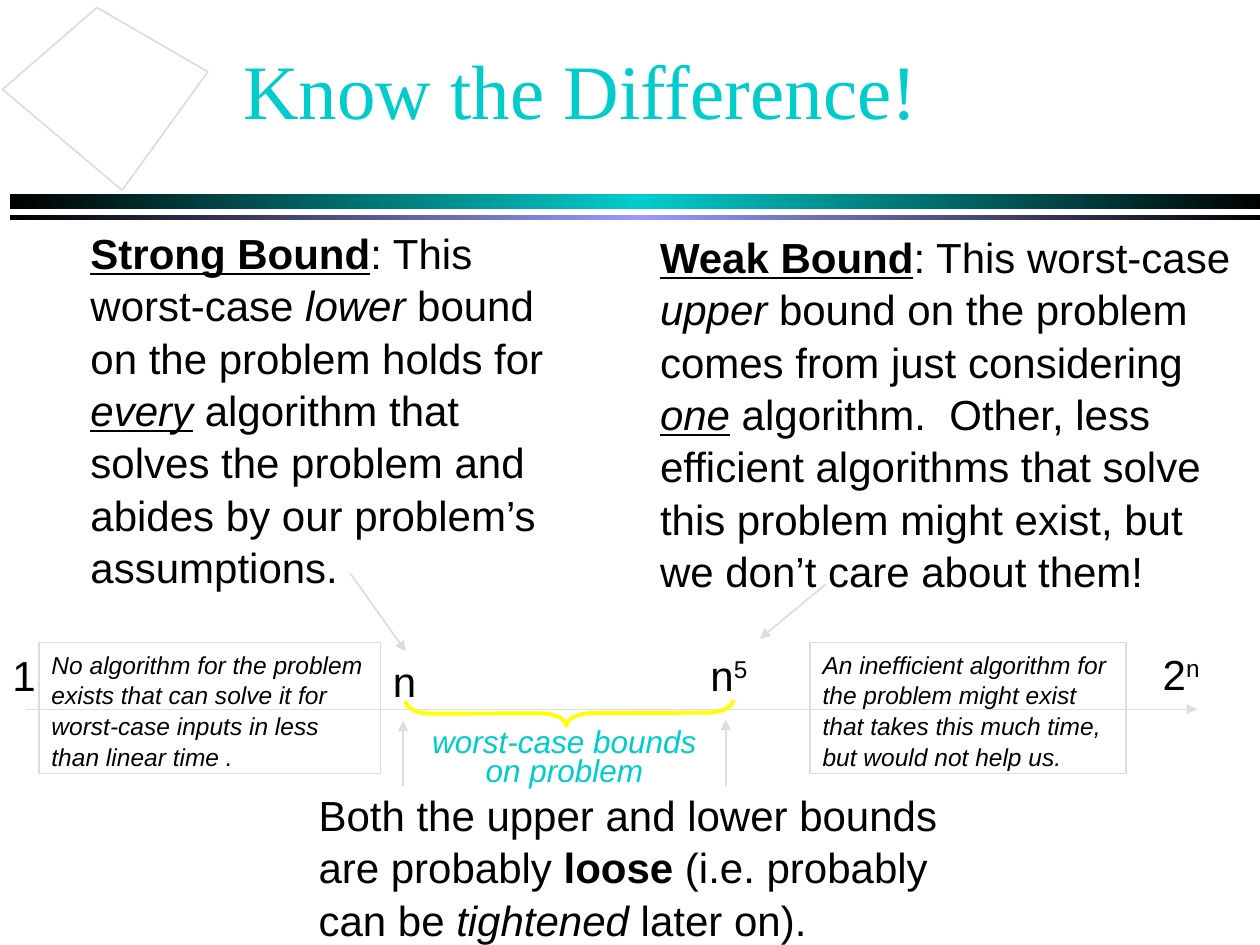
from copy import deepcopy
from lxml import etree
from pptx import Presentation
from pptx.dml.color import RGBColor
from pptx.enum.shapes import MSO_CONNECTOR, MSO_SHAPE
from pptx.enum.text import MSO_ANCHOR, MSO_AUTO_SIZE, PP_ALIGN
from pptx.oxml.ns import qn
from pptx.util import Inches, Pt

BLACK = RGBColor(0x00, 0x00, 0x00)
WHITE = RGBColor(0xFF, 0xFF, 0xFF)
TEAL = RGBColor(0x00, 0xCC, 0xCC)
LILAC = RGBColor(0x99, 0x99, 0xFF)
GREY = RGBColor(0xDD, 0xDD, 0xDD)
YELLOW = RGBColor(0xFF, 0xFF, 0x00)
RECT, BRACE = MSO_SHAPE.RECTANGLE, MSO_SHAPE.LEFT_BRACE
STRAIGHT = MSO_CONNECTOR.STRAIGHT
LEFT, CENTER = PP_ALIGN.LEFT, PP_ALIGN.CENTER
TOP, MIDDLE = MSO_ANCHOR.TOP, MSO_ANCHOR.MIDDLE
NO_FIT = MSO_AUTO_SIZE.NONE

# The slide is a grid of 100 columns and 75 rows of equal size
WIDE, HIGH = Inches(10), Inches(7.5)
UNIT = WIDE // 100


def grid(*cells):
    return [round(c * UNIT) for c in cells]


def inside(box, x, y, w, h):
    """Box in slide cells from one that is relative to its region."""
    return box[0] + x, box[1] + y, w, h


def write(shape, paras, size=24, color=BLACK, face="Arial", align=LEFT,
          anchor=TOP, wrap=True, lead=1.04):
    """Fill a shape; a paragraph is a list of (text, marks from b, i, u, ^)."""
    frame = shape.text_frame
    frame.auto_size, frame.word_wrap = NO_FIT, wrap
    frame.vertical_anchor = anchor
    for k, runs in enumerate(paras):
        para = frame.add_paragraph() if k else frame.paragraphs[0]
        para.alignment, para.line_spacing = align, lead
        para.space_before = Pt(0)
        for text, marks in runs:
            run = para.add_run()
            run.text = text
            font = run.font
            font.size, font.name = Pt(size), face
            font.color.rgb = color
            font.bold, font.italic = "b" in marks, "i" in marks
            font.underline = "u" in marks
            if "^" in marks:
                run._r.get_or_add_rPr().set("baseline", "30000")


def label(slide, box, paras, **form):
    write(slide.shapes.add_textbox(*grid(*box)), paras, **form)


def arrow(slide, x1, y1, x2, y2):
    line = slide.shapes.add_connector(STRAIGHT, *grid(x1, y1, x2, y2))
    line.line.color.rgb, line.line.width = GREY, Pt(1)
    etree.SubElement(line.line._get_or_add_ln(), qn("a:tailEnd"), type="triangle")
    etree.SubElement(line._element.spPr, qn("a:effectLst"))


def band(slide, box, mid):
    """Bar that fades from black to a colour and back."""
    bar = slide.shapes.add_shape(RECT, *grid(*box))
    bar.shadow.inherit = False
    bar.line.fill.background()
    bar.fill.gradient()
    bar.fill.gradient_angle = 0
    stops = bar.fill._fill._gradFill.gsLst
    stops.append(deepcopy(stops[0]))
    for stop, spot, color in zip(bar.fill.gradient_stops, (0, 0.5, 1),
                                 (BLACK, mid, BLACK)):
        stop.position, stop.color.rgb = spot, color


def header(slide, box):
    # Tilted outline in the corner
    points = [grid(box[0] + x, box[1] + y)
              for x, y in ((9.7, 15.1), (0.2, 7.1), (7.7, 0.6), (16.5, 5.7))]
    path = slide.shapes.build_freeform(*points[0])
    path.add_line_segments(points[1:], close=True)
    quad = path.convert_to_shape()
    quad.shadow.inherit = False
    quad.fill.solid()
    quad.fill.fore_color.rgb = WHITE
    quad.line.color.rgb, quad.line.width = GREY, Pt(1)

    # Bars below the title
    band(slide, inside(box, 0.8, 15.4, 99.9, 1.2), TEAL)
    band(slide, inside(box, 0.8, 17.1, 99.9, 0.4), LILAC)

    # Title with a text shadow
    title = slide.shapes.title
    title.left, title.top, title.width, title.height = grid(
        *inside(box, 18.3, 0.8, 85, 12.5))
    write(title, [[("Know the Difference!", "")]], size=44, color=TEAL,
          face="Times New Roman", anchor=MIDDLE, lead=1.0)
    props = title.text_frame.paragraphs[0].runs[0]._r.get_or_add_rPr()
    glow = etree.Element(qn("a:effectLst"))
    cast = etree.SubElement(glow, qn("a:outerShdw"), dist="28575", dir="2700000")
    etree.SubElement(cast, qn("a:srgbClr"), val=str(BLACK))
    props.find(qn("a:solidFill")).addnext(glow)


def bounds(slide, box):
    # Strong bound on the left, weak bound on the right
    label(slide, inside(box, 6.2, 0, 38, 35.1), [[
        ("Strong Bound", "bu"), (": This worst-case ", ""), ("lower", "i"),
        (" bound on the problem holds for ", ""), ("every", "iu"),
        (" algorithm that solves the problem and abides by our problem’s "
         "assumptions.", "")]])
    label(slide, inside(box, 51.4, 0.3, 48.6, 35.1), [[
        ("Weak Bound", "bu"), (": This worst-case ", ""), ("upper", "i"),
        (" bound on the problem comes from just considering ", ""),
        ("one", "iu"),
        (" algorithm.  Other, less efficient algorithms that solve this "
         "problem might exist, but we don’t care about them!", "")]])


def note(slide, box, text):
    frame = slide.shapes.add_shape(RECT, *grid(*box))
    frame.shadow.inherit = False
    frame.fill.background()
    frame.line.color.rgb, frame.line.width = GREY, Pt(1)
    write(frame, [[(text, "i")]], size=14)


def scale(slide, box):
    left, top = box[:2]
    # Axis with its marks
    arrow(slide, left + 2.1, top + 5.5, left + 95, top + 5.5)
    for x, y, w, runs in ((30.2, 0.6, 5.7, [("n", "")]),
                          (0, 0.1, 5.7, [("1", "")]),
                          (91.3, 0, 7.6, [("2", ""), ("n", "^")]),
                          (55.4, 0.1, 6.9, [("n", ""), ("5", "^")])):
        label(slide, inside(box, x, y, w, 5), [runs])

    # Brace over the range of bounds
    label(slide, inside(box, 33.3, 6.6, 23, 5.5),
          [[("worst-case bounds", "i")], [("on problem", "i")]],
          size=18, color=TEAL, align=CENTER, wrap=False, lead=0.78)
    brace = slide.shapes.add_shape(
        BRACE, *grid(*inside(box, 44.2, -7.2, 2, 26)))
    brace.shadow.inherit = False
    brace.rotation = 269.8
    brace.adjustments[0], brace.adjustments[1] = 1.05, 0.49
    brace.fill.background()
    brace.line.color.rgb, brace.line.width = YELLOW, Pt(2.25)

    # Notes on both outer ranges
    note(slide, inside(box, 64.3, 0.2, 25.1, 10.4),
         "An inefficient algorithm for the problem might exist that takes "
         "this much time, but would not help us.")
    note(slide, inside(box, 3.1, 0.2, 27.1, 10.4),
         "No algorithm for the problem exists that can solve it for "
         "worst-case inputs in less than linear time .")

    # Pointers from the texts above and below
    for x1, y1, x2, y2 in ((27.8, -5.3, 32.2, 0.9), (65.5, -4.4, 60.3, -0.1),
                           (32, 11.6, 32, 6.4), (57.6, 11.6, 57.6, 6.3)):
        arrow(slide, left + x1, top + y1, left + x2, top + y2)


def footer(slide, box):
    label(slide, box, [[
        ("Both the upper and lower bounds are probably ", ""), ("loose", "b"),
        (" (i.e. probably can be ", ""), ("tightened", "i"),
        (" later on).", "")]])


def main():
    deck = Presentation()
    deck.slide_width, deck.slide_height = WIDE, HIGH
    slide = deck.slides.add_slide(deck.slide_layouts[5])
    header(slide, (0, 0, 100, 17.5))
    scale(slide, (0, 50.8, 100, 11.6))
    bounds(slide, (0, 17.4, 100, 35.4))
    footer(slide, (24.3, 62, 54.4, 13))
    deck.save("out.pptx")


if __name__ == "__main__":
    main()
